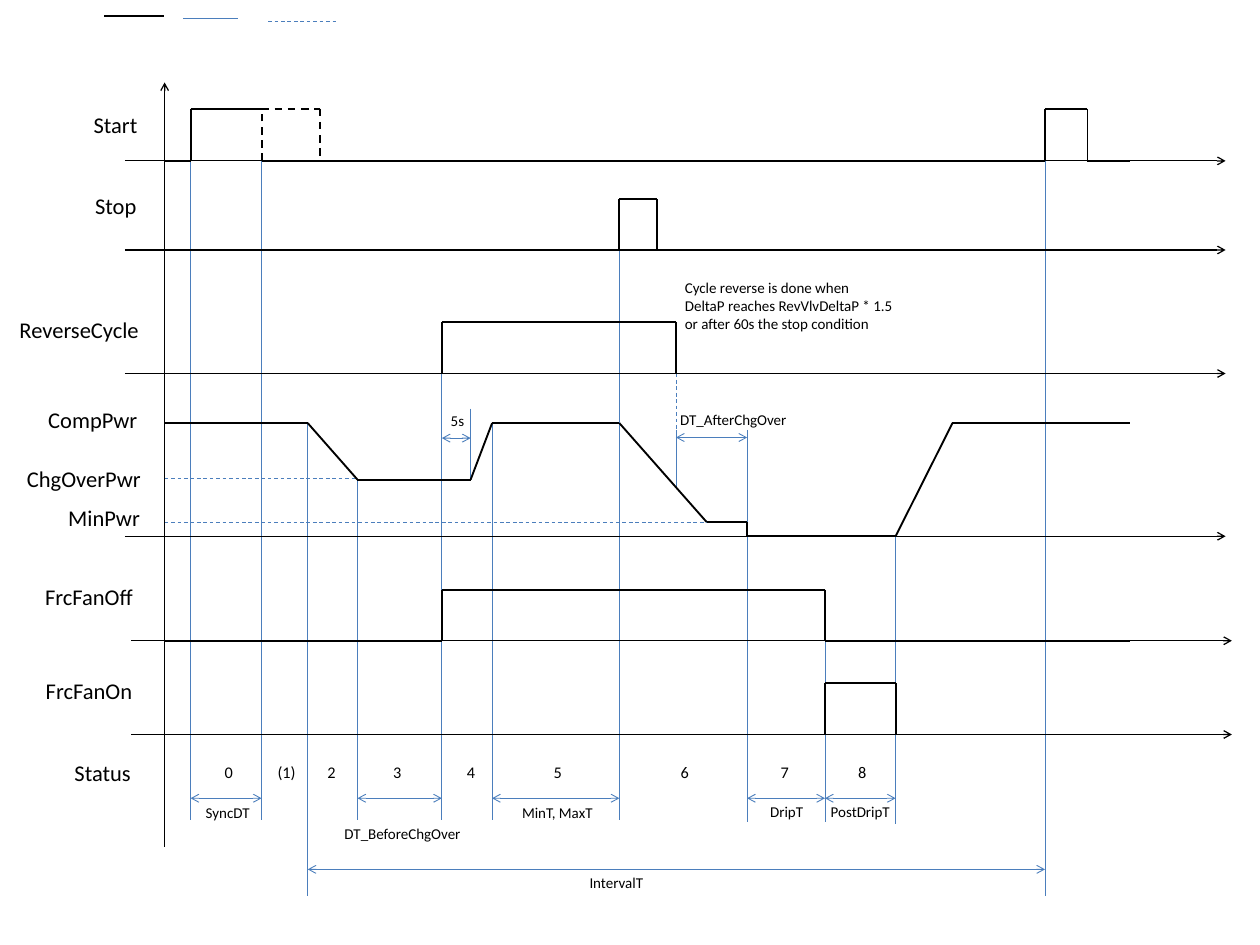
from dataclasses import dataclass
from itertools import pairwise

from lxml import etree
from pptx import Presentation
from pptx.dml.color import RGBColor
from pptx.enum.dml import MSO_LINE
from pptx.enum.shapes import MSO_CONNECTOR
from pptx.enum.text import PP_ALIGN
from pptx.oxml.ns import qn
from pptx.util import Pt

STRAIGHT = MSO_CONNECTOR.STRAIGHT
DASH = MSO_LINE.DASH
LEFT, CENTER = PP_ALIGN.LEFT, PP_ALIGN.CENTER


@dataclass(frozen=True)
class Theme:
    font: str = "Calibri"
    ink: RGBColor = RGBColor(0, 0, 0)
    guide: RGBColor = RGBColor(0x4B, 0x7E, 0xBC)
    label: int = 18
    status: int = 13
    note: int = 12
    thin: float = 0.75
    axis: float = 1
    signal: float = 1.5


THEME = Theme()

# Moments on the time axis
ORIGIN, START_ON, START_OFF, RAMP_DOWN, CHG_OVER = 131.7, 152.5, 209.3, 246.2, 286
REVERSE_ON, RAMP_UP, FULL, STOP_ON, STOP_OFF = 353.5, 376.5, 393.7, 495.5, 525.5
REVERSE_OFF, MIN_REACHED, DRIP, FAN_ON, FAN_OFF = 540.8, 565.3, 597.7, 660, 716.5
FULL_AGAIN, NEXT_ON, NEXT_OFF, END, LATE_START_OFF = 762, 836, 870, 903.7, 256.3

# Signal levels: baselines, pulse tops and power levels
START, STOP, REVERSE, POWER, FAN_OFF_ROW, FAN_ON_ROW = 128.7, 200, 298.8, 429, 512.6, 587.6
START_TOP, STOP_TOP, REVERSE_TOP, FAN_OFF_TOP, FAN_ON_TOP = 87, 159.3, 257.6, 471.7, 546.5
COMP_PWR, CHG_OVER_PWR, MIN_PWR = 338.5, 383.7, 417.6
SPAN_Y, GUIDE_END, INTERVAL_Y, INTERVAL_END = 638.6, 656, 695.5, 717.2

AXES = [(100, START), (100, STOP), (100, REVERSE), (100, POWER),
        (105, FAN_OFF_ROW), (105, FAN_ON_ROW)]
AXIS_LENGTH = 880.5

GUIDES = [
    (START_ON, START, GUIDE_END), (START_OFF, START, GUIDE_END),
    (RAMP_DOWN, COMP_PWR, INTERVAL_END), (CHG_OVER, CHG_OVER_PWR, GUIDE_END),
    (REVERSE_ON, REVERSE, GUIDE_END), (RAMP_UP, 327, CHG_OVER_PWR),
    (FULL, COMP_PWR, GUIDE_END), (STOP_ON, STOP, GUIDE_END),
    (REVERSE_OFF, 344, 389.5), (DRIP, 344, 658), (FAN_ON, FAN_OFF_ROW, 658),
    (FAN_OFF, POWER, 659.5), (NEXT_ON, START, INTERVAL_END),
]
DASHED_GUIDES = [
    (ORIGIN, 383, CHG_OVER, 383), (ORIGIN, MIN_PWR, MIN_REACHED, MIN_PWR),
    (REVERSE_OFF, REVERSE, REVERSE_OFF, 347),
]
SPANS = [
    (START_ON, START_OFF, SPAN_Y), (CHG_OVER, REVERSE_ON, SPAN_Y),
    (FULL, STOP_ON, SPAN_Y), (DRIP, FAN_ON, SPAN_Y), (FAN_ON, FAN_OFF, SPAN_Y),
    (REVERSE_ON, RAMP_UP, 350.5), (REVERSE_OFF, DRIP, 350),
    (RAMP_DOWN, NEXT_ON, INTERVAL_Y),
]
POWER_TRACE = [
    (ORIGIN, COMP_PWR), (RAMP_DOWN, COMP_PWR), (CHG_OVER, CHG_OVER_PWR),
    (RAMP_UP, CHG_OVER_PWR), (FULL, COMP_PWR), (STOP_ON, COMP_PWR),
    (MIN_REACHED, MIN_PWR), (DRIP, MIN_PWR), (DRIP, POWER), (FAN_OFF, POWER),
    (FULL_AGAIN, COMP_PWR), (END, COMP_PWR),
]

# Texts: left, top, width
LABELS = [
    ("Start", 67.8, 85.5, 53.5), ("Stop", 69, 150.3, 52),
    ("ReverseCycle", 8.5, 249, 123), ("CompPwr", 31.5, 321, 101),
    ("ChgOverPwr", 14.5, 368.5, 107.5), ("MinPwr", 47.5, 399.5, 72.5),
    ("FrcFanOff", 29, 463, 91.5), ("FrcFanOn", 29.5, 538.3, 86.5),
    ("Status", 52.5, 604, 62.5),
]
NOTES = [
    ("SyncDT", 157.5, 639.5, 52), ("DT_BeforeChgOver", 268.5, 656, 119),
    ("IntervalT", 464.5, 695.5, 65), ("5s", 353.5, 325.5, 26),
    ("MinT, MaxT", 410.5, 639.5, 73.5), ("DT_AfterChgOver", 537, 325, 101),
    ("DripT", 609, 638.5, 45.5), ("PostDripT", 657.5, 638.5, 62.5),
]
REVERSE_NOTE = ("Cycle reverse is done when\nDeltaP reaches RevVlvDeltaP * 1.5\n"
                "or after 60s the stop condition")

# Status numbers: centre, width
STATUSES = [("0", 183, 39.5), ("(1)", 229.3, 39.5), ("2", 264.5, 24), ("3", 317, 24),
            ("4", 376, 24), ("5", 445.5, 24), ("6", 547, 24), ("7", 627, 24), ("8", 689, 24)]


def add_line(slide, x1, y1, x2, y2, color, width, dashed=False, arrows=()):
    line = slide.shapes.add_connector(STRAIGHT, Pt(x1), Pt(y1), Pt(x2), Pt(y2))
    line.line.color.rgb = color
    line.line.width = Pt(width)
    if dashed:
        line.line.dash_style = DASH
    outline = line.line._get_or_add_ln()
    for end in arrows:
        etree.SubElement(outline, qn(f"a:{end}"), type="arrow")
    etree.SubElement(line._element.spPr, qn("a:effectLst"))


def add_text(slide, text, left, top, width, height, size, align=LEFT, wrap=True,
             margins=(7.2, 3.6, 0, 3.6)):
    box = slide.shapes.add_textbox(Pt(left), Pt(top), Pt(width), Pt(height))
    frame = box.text_frame
    frame.word_wrap = wrap
    frame.margin_left, frame.margin_top, frame.margin_right, frame.margin_bottom = map(Pt, margins)
    frame.text = text
    for paragraph in frame.paragraphs:
        paragraph.alignment = align
        paragraph.font.name = THEME.font
        paragraph.font.size = Pt(size)
        paragraph.font.color.rgb = THEME.ink


def add_trace(slide, points, dashed=False):
    for (x1, y1), (x2, y2) in pairwise(points):
        add_line(slide, x1, y1, x2, y2, THEME.ink, THEME.signal, dashed)


def pulse(on, off, base, top):
    return [(on, base), (on, top), (off, top), (off, base)]


def add_pulse_row(slide, on, off, base, top):
    add_trace(slide, [(ORIGIN, base), *pulse(on, off, base, top), (END, base)])


def add_guides(slide):
    for x, top, bottom in GUIDES:
        add_line(slide, x, top, x, bottom, THEME.guide, THEME.thin)
    for ends in DASHED_GUIDES:
        add_line(slide, *ends, THEME.guide, THEME.thin, dashed=True)


def add_axes(slide):
    add_line(slide, ORIGIN, 677.5, ORIGIN, 66, THEME.ink, THEME.axis, arrows=["tailEnd"])
    for left, y in AXES:
        add_line(slide, left, y, left + AXIS_LENGTH, y, THEME.ink, THEME.axis,
                 arrows=["tailEnd"])


def add_signals(slide):
    # The start signal may fall late, so its first pulse has a dashed extension
    add_trace(slide, [(ORIGIN, START), (START_ON, START), (START_ON, START_TOP),
                      (START_OFF, START_TOP)])
    add_trace(slide, [(START_OFF, START), *pulse(NEXT_ON, NEXT_OFF, START, START_TOP),
                      (END, START)])
    add_trace(slide, pulse(START_OFF, LATE_START_OFF, START, START_TOP), dashed=True)
    add_trace(slide, POWER_TRACE)
    for row in [(STOP_ON, STOP_OFF, STOP, STOP_TOP),
                (REVERSE_ON, REVERSE_OFF, REVERSE, REVERSE_TOP),
                (REVERSE_ON, FAN_ON, FAN_OFF_ROW, FAN_OFF_TOP),
                (FAN_ON, FAN_OFF, FAN_ON_ROW, FAN_ON_TOP)]:
        add_pulse_row(slide, *row)


def add_line_samples(slide):
    add_line(slide, 83.5, 13, 131, 13, THEME.ink, THEME.signal)
    add_line(slide, 146.7, 15, 190.7, 15, THEME.guide, THEME.thin)
    add_line(slide, 214.5, 17, 270, 17, THEME.guide, THEME.thin, dashed=True)


def add_spans(slide):
    for start, end, y in SPANS:
        add_line(slide, start, y, end, y, THEME.guide, THEME.thin,
                 arrows=["headEnd", "tailEnd"])


def add_texts(slide):
    for text, left, top, width in LABELS:
        add_text(slide, text, left, top, width, 29, THEME.label)
    for text, left, top, width in NOTES:
        add_text(slide, text, left, top, width, 21.5, THEME.note)
    add_text(slide, REVERSE_NOTE, 540.8, 219.5, 278, 51, THEME.note)
    for text, center, width in STATUSES:
        add_text(slide, text, center - width / 2, 605, width, 25, THEME.status,
                 align=CENTER, wrap=False, margins=(9.4, 5, 9.4, 5))


def main():
    deck = Presentation()
    deck.slide_width, deck.slide_height = Pt(1008), Pt(756)
    slide = deck.slides.add_slide(deck.slide_layouts[6])
    add_guides(slide)
    add_axes(slide)
    add_line_samples(slide)
    add_signals(slide)
    add_spans(slide)
    add_texts(slide)
    deck.save("out.pptx")


main()
